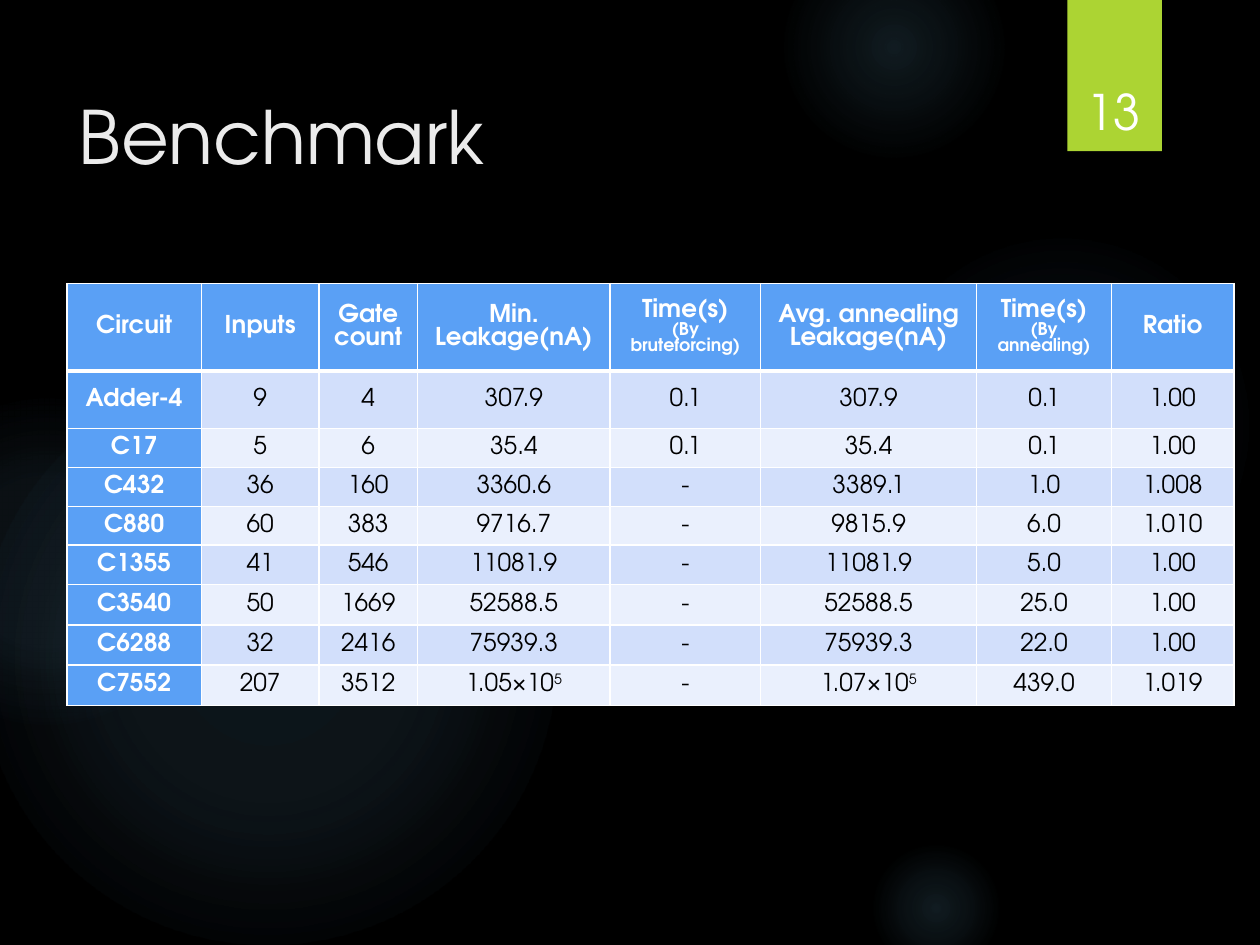
from dataclasses import dataclass

from lxml.etree import SubElement
from pptx import Presentation
from pptx.dml.color import RGBColor
from pptx.enum.shapes import MSO_SHAPE as Shape
from pptx.enum.text import MSO_ANCHOR as Anchor, PP_ALIGN as Align
from pptx.oxml import parse_xml
from pptx.oxml.ns import nsdecls, qn
from pptx.slide import Slide
from pptx.table import _Cell as Cell
from pptx.text.text import _Paragraph as Paragraph
from pptx.util import Pt


@dataclass(frozen=True)
class Theme:
    font: str = "TeX Gyre Adventor"
    background: str = "000000"
    glow: str = "7AC4F0"
    accent: str = "ACD433"
    title: str = "EBEBEB"
    white: str = "FFFFFF"
    black: str = "000000"
    header: str = "5AA0F5"
    bands: tuple[str, str] = ("D2DFFB", "EAF0FD")
    title_size: float = 42
    number_size: float = 28
    cell_size: float = 14
    note_size: float = 10


@dataclass(frozen=True)
class Glow:
    """A round light; stops are (position, opacity) in percent."""
    left: float
    top: float
    size: float
    stops: tuple[tuple[int, int], ...]


@dataclass(frozen=True)
class Label:
    text: str
    left: float
    top: float
    width: float
    height: float
    size: float
    color: str
    align: Align
    anchor: Anchor
    inset_top: float = 3.6


THEME = Theme()

GLOWS = (
    Glow(496, 132, 222, ((0, 7), (36, 6), (69, 0))),
    Glow(448, -36, 126, ((0, 14), (36, 7), (73, 0))),
    Glow(496, 480, 78, ((0, 14), (36, 7), (66, 0))),
    Glow(-12, 210, 330, ((0, 11), (36, 10), (75, 0))),
    Glow(-66, 228, 186, ((0, 8), (36, 8), (72, 0))),
)

LABELS = (
    Label("Benchmark", 38, 36, 556, 110, THEME.title_size, THEME.title,
          Align.LEFT, Anchor.TOP, inset_top=16),
    Label("13", 611.5, 23, 49.5, 60.5, THEME.number_size, THEME.white,
          Align.CENTER, Anchor.BOTTOM),
)

COLUMN_WIDTHS = (77, 67, 56.5, 110, 86, 123.5, 77, 70)
ROW_HEIGHTS = (50, 33, 22.2, 22.2, 22.2, 22.5, 23, 23, 23)

# "\n" starts a smaller second paragraph, "^" starts a superscript.
ROWS = (
    ("Circuit", "Inputs", "Gate count", "Min. Leakage(nA)", "Time(s)\n(By bruteforcing)",
     "Avg. annealing Leakage(nA)", "Time(s)\n(By annealing)", "Ratio"),
    ("Adder-4", "9", "4", "307.9", "0.1", "307.9", "0.1", "1.00"),
    ("C17", "5", "6", "35.4", "0.1", "35.4", "0.1", "1.00"),
    ("C432", "36", "160", "3360.6", "-", "3389.1", "1.0", "1.008"),
    ("C880", "60", "383", "9716.7", "-", "9815.9", "6.0", "1.010"),
    ("C1355", "41", "546", "11081.9", "-", "11081.9", "5.0", "1.00"),
    ("C3540", "50", "1669", "52588.5", "-", "52588.5", "25.0", "1.00"),
    ("C6288", "32", "2416", "75939.3", "-", "75939.3", "22.0", "1.00"),
    ("C7552", "207", "3512", "1.05×10^5", "-", "1.07×10^5", "439.0", "1.019"),
)


def rgb(color: str) -> RGBColor:
    return RGBColor.from_string(color)


def add_run(p: Paragraph, text: str, size: float, color: str,
            bold: bool = False, raised: bool = False) -> None:
    r = p.add_run()
    r.text = text
    r.font.name = THEME.font
    r.font.size = Pt(size)
    r.font.bold = bold
    r.font.color.rgb = rgb(color)
    if raised:
        r.font._element.set("baseline", "30000")


def add_glow(s: Slide, glow: Glow) -> None:
    sp = s.shapes.add_shape(Shape.OVAL, Pt(glow.left), Pt(glow.top), Pt(glow.size), Pt(glow.size))
    sp.shadow.inherit = False
    sp.line.fill.background()
    stops = "".join(
        f'<a:gs pos="{pos * 1000}"><a:srgbClr val="{THEME.glow}">'
        f'<a:alpha val="{alpha * 1000}"/></a:srgbClr></a:gs>'
        for pos, alpha in glow.stops)
    gradient = parse_xml(
        f'<a:gradFill {nsdecls("a")} rotWithShape="1"><a:gsLst>{stops}</a:gsLst>'
        '<a:path path="circle"><a:fillToRect l="50000" t="50000" r="50000" b="50000"/>'
        '</a:path></a:gradFill>')
    sp._element.spPr.find(qn("a:prstGeom")).addnext(gradient)


def add_number_tab(s: Slide) -> None:
    sp = s.shapes.add_shape(Shape.RECTANGLE, Pt(610), Pt(0), Pt(54), Pt(86.4))
    sp.shadow.inherit = False
    sp.fill.solid()
    sp.fill.fore_color.rgb = rgb(THEME.accent)
    sp.line.fill.background()


def add_label(s: Slide, label: Label) -> None:
    sp = s.shapes.add_textbox(Pt(label.left), Pt(label.top), Pt(label.width), Pt(label.height))
    tf = sp.text_frame
    tf.word_wrap = True
    tf.vertical_anchor = label.anchor
    tf.margin_top = Pt(label.inset_top)
    p = tf.paragraphs[0]
    p.alignment = label.align
    add_run(p, label.text, label.size, label.color)


def set_borders(cell: Cell, top: float, bottom: float) -> None:
    """Draw white borders; they must come before the fill in the cell's XML."""
    tc_pr = cell._tc.get_or_add_tcPr()
    for tag, width in (("lnL", 1), ("lnR", 1), ("lnT", top), ("lnB", bottom)):
        ln = SubElement(tc_pr, qn(f"a:{tag}"), w=str(Pt(width)))
        SubElement(SubElement(ln, qn("a:solidFill")), qn("a:srgbClr"), val=THEME.white)


def fill_cell(cell: Cell, text: str, row: int, col: int) -> None:
    is_header = row == 0 or col == 0
    set_borders(cell, top=3 if row == 1 else 1, bottom=3 if row == 0 else 1)
    cell.fill.solid()
    cell.fill.fore_color.rgb = rgb(THEME.header if is_header else THEME.bands[(row - 1) % 2])
    cell.vertical_anchor = Anchor.MIDDLE
    cell.margin_left = cell.margin_right = Pt(5)
    cell.margin_top = cell.margin_bottom = Pt(0)
    color = THEME.white if is_header else THEME.black
    tf = cell.text_frame
    for i, line in enumerate(text.split("\n")):
        p = tf.add_paragraph() if i else tf.paragraphs[0]
        p.alignment = Align.CENTER
        size = THEME.note_size if i else THEME.cell_size
        for j, part in enumerate(line.split("^")):
            add_run(p, part, size, color, bold=is_header, raised=j > 0)


def add_benchmark_table(s: Slide) -> None:
    frame = s.shapes.add_table(len(ROWS), len(COLUMN_WIDTHS), Pt(38.2), Pt(162),
                               Pt(sum(COLUMN_WIDTHS)), Pt(sum(ROW_HEIGHTS)))
    table = frame.table
    table.horz_banding = False
    for column, width in zip(table.columns, COLUMN_WIDTHS):
        column.width = Pt(width)
    for row, height in zip(table.rows, ROW_HEIGHTS):
        row.height = Pt(height)
    for i, texts in enumerate(ROWS):
        for j, text in enumerate(texts):
            fill_cell(table.cell(i, j), text, i, j)


def main() -> None:
    prs = Presentation()
    prs.slide_width, prs.slide_height = Pt(720), Pt(540)
    s = prs.slides.add_slide(prs.slide_layouts[6])
    s.background.fill.solid()
    s.background.fill.fore_color.rgb = rgb(THEME.background)
    for glow in GLOWS:
        add_glow(s, glow)
    add_number_tab(s)
    for label in LABELS:
        add_label(s, label)
    add_benchmark_table(s)
    prs.save("out.pptx")


if __name__ == "__main__":
    main()
